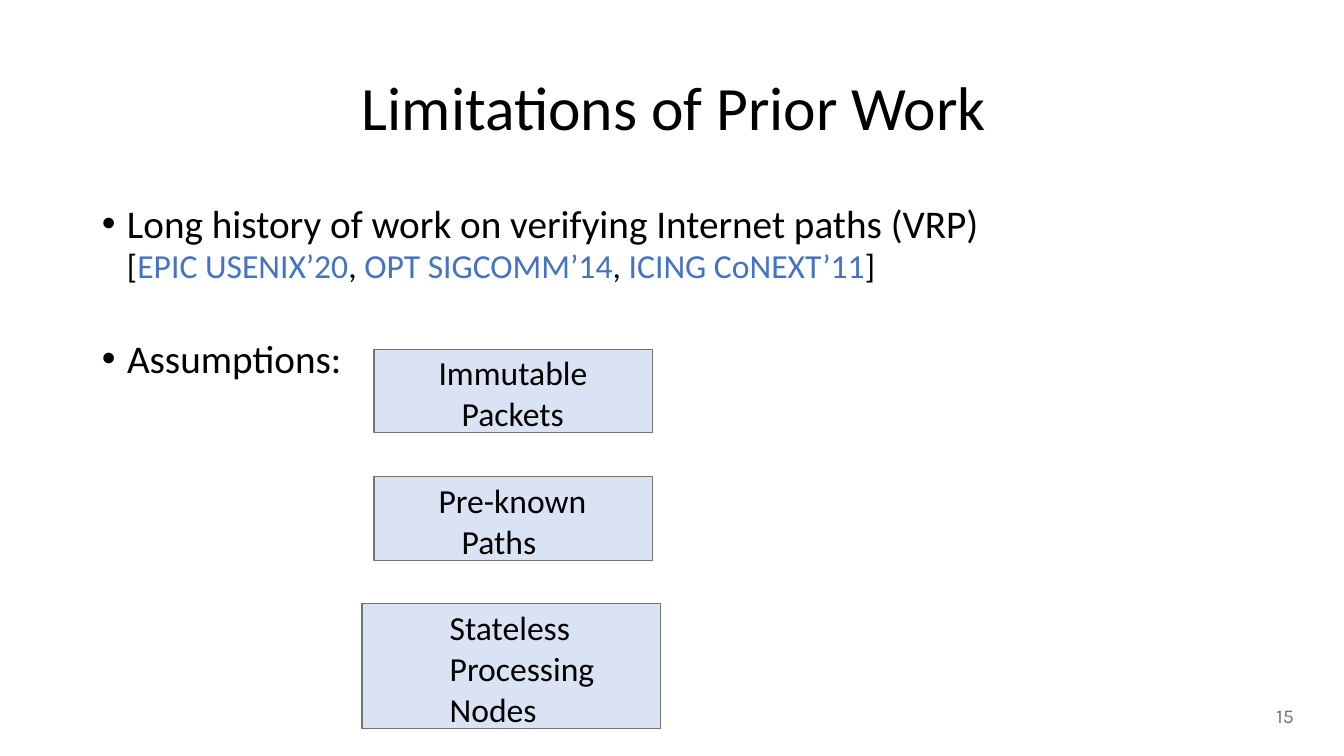
import pptx
import pptx.util
import pptx.dml.color
import pptx.enum.shapes
import pptx.enum.text
import lxml.etree

PX = 9144
BLACK, BLUE, GRAY, PALE = "000000", "4472C4", "767171", "DAE3F3"


def px(count):
    return pptx.util.Emu(count * PX)


def color(code):
    return pptx.dml.color.RGBColor.from_string(code)


def write(frame, text, size=24, font="Calibri", ink=BLACK, left=0, first=0,
          line=None, before=0, bullet=False, more=False):
    para = frame.add_paragraph() if more else frame.paragraphs[0]
    para.alignment = pptx.enum.text.PP_ALIGN.LEFT
    para.space_before = pptx.util.Pt(before)
    if line:
        para.line_spacing = line
    props = para._p.get_or_add_pPr()
    props.set("marL", str(px(left)))
    props.set("indent", str(px(first)))
    if bullet:
        space = pptx.oxml.ns.qn
        lxml.etree.SubElement(props, space("a:buFont"), typeface="Arial")
        lxml.etree.SubElement(props, space("a:buChar"), char="•")
    parts = [(text, ink)] if isinstance(text, str) else text
    for words, shade in parts:
        run = para.add_run()
        run.text = words
        run.font.size = pptx.util.Pt(size)
        run.font.name = font
        run.font.color.rgb = color(shade)


def setup(frame, top):
    frame.word_wrap = True
    frame.vertical_anchor = pptx.enum.text.MSO_ANCHOR.TOP
    frame.margin_left = frame.margin_right = frame.margin_bottom = 0
    frame.margin_top = px(top)
    return frame


def area(slide, box, top=1):
    shape = slide.shapes.add_textbox(*map(px, box))
    return setup(shape.text_frame, top)


def title(slide, box):
    write(area(slide, box), "Limitations of Prior Work", size=44, left=1, before=1)


def history(slide, box):
    frame = area(slide, box)
    write(frame, "Long history of work on verifying Internet paths (VRP)",
          size=28, left=26, first=-25, line=pptx.util.Pt(32.2), before=1, bullet=True)
    cites = [("[", BLACK), ("EPIC USENIX’20", BLUE), (", ", BLACK),
             ("OPT SIGCOMM’14", BLUE), (", ", BLACK),
             ("ICING CoNEXT’11", BLUE), ("]", BLACK)]
    write(frame, cites, left=26, line=pptx.util.Pt(27.4), more=True)


def heading(slide, box):
    write(area(slide, box), "Assumptions:", size=28, left=26, first=-25,
          before=1, bullet=True)


def claim(slide, box, text, first=-23, top=3):
    shape = slide.shapes.add_shape(pptx.enum.shapes.MSO_SHAPE.RECTANGLE, *map(px, box))
    shape.shadow.inherit = False
    shape.fill.solid()
    shape.fill.fore_color.rgb = color(PALE)
    shape.line.color.rgb = color(GRAY)
    shape.line.width = pptx.util.Pt(1)
    write(setup(shape.text_frame, top), text, left=87, first=first,
          line=1.01, before=1.4)


def claims(slide, box):
    left, top, width, height = box
    step = (height - 124) // 2
    claim(slide, (left + 12, top, width - 20, 82), "Immutable  Packets", top=2)
    claim(slide, (left + 12, top + step, width - 20, 83), "Pre-known  Paths")
    claim(slide, (left, top + 2 * step, width, 124), "Stateless Processing Nodes", first=0)


def number(slide, box):
    write(area(slide, box, top=0), "15", size=14, font="Karla", ink=GRAY,
          left=4, before=0.3)


def main():
    deck = pptx.Presentation()
    deck.slide_width, deck.slide_height = px(1333), px(750)
    slide = deck.slides.add_slide(deck.slide_layouts[6])
    number(slide, (1262, 698, 28, 27))
    title(slide, (358, 67, 742, 75))
    history(slide, (100, 199, 1016, 84))
    heading(slide, (100, 331, 241, 49))
    claims(slide, (359, 347, 296, 377))
    deck.save("out.pptx")


if __name__ == "__main__":
    main()
